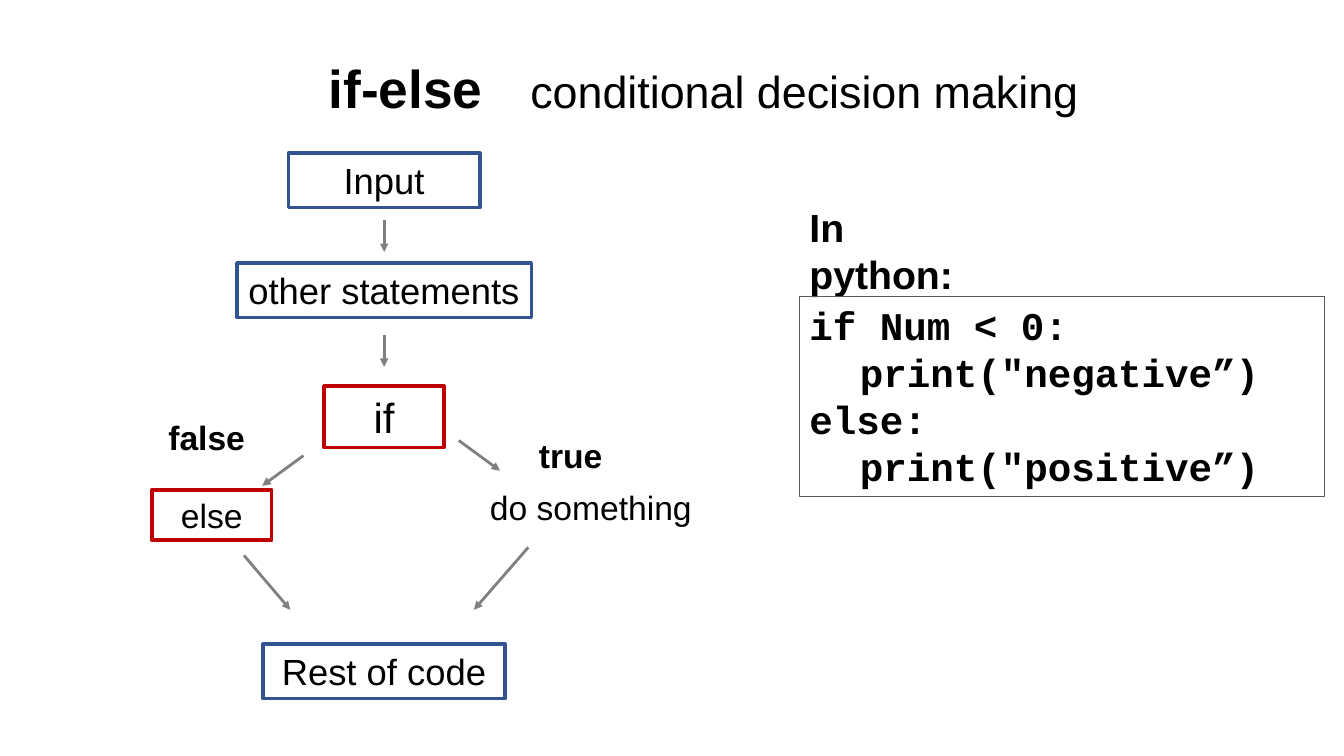
from pptx import Presentation
from pptx import util as u
from pptx.dml.color import RGBColor
from pptx.enum import shapes, text
from pptx.oxml import parse_xml
from pptx.oxml.ns import nsdecls, qn

BLACK = RGBColor(0x00, 0x00, 0x00)
BLUE = RGBColor(0x32, 0x54, 0x91)
RED = RGBColor(0xC0, 0x00, 0x00)
GREY = RGBColor(0x80, 0x80, 0x80)
DARK_GREY = RGBColor(0x59, 0x59, 0x59)

WIDTH, HEIGHT = u.Inches(13.33), u.Inches(7.5)
UNIT = HEIGHT / 75  # side of one square grid cell


def cells(*counts):
    return [round(count * UNIT) for count in counts]


def style_run(run, size, bold=False, font="Arial"):
    run.font.name = font
    run.font.size = u.Pt(size)
    run.font.bold = bold
    run.font.color.rgb = BLACK


def write(frame, lines, size, bold=False, font="Arial",
          align=text.PP_ALIGN.CENTER, wrap=True):
    frame.word_wrap = wrap
    frame.vertical_anchor = text.MSO_ANCHOR.TOP
    frame.text = lines
    for line in frame.paragraphs:
        line.alignment = align
        for run in line.runs:
            style_run(run, size, bold, font)


def add_outlined_box(slide, box, color, weight):
    outlined = slide.shapes.add_shape(shapes.MSO_SHAPE.RECTANGLE, *cells(*box))
    outlined.shadow.inherit = False
    outlined.fill.background()
    outlined.line.color.rgb = color
    outlined.line.width = u.Pt(weight)
    return outlined


def add_arrow(slide, start, end):
    arrow = slide.shapes.add_connector(
        shapes.MSO_CONNECTOR.STRAIGHT, *cells(*start, *end))
    arrow.line.color.rgb = GREY
    arrow.line.width = u.Pt(2)
    arrow.line._get_or_add_ln().append(
        parse_xml(f'<a:tailEnd {nsdecls("a")} type="triangle"/>'))
    arrow._element.spPr.append(
        arrow._element.makeelement(qn("a:effectLst"), {}))


def add_heading(slide, box):
    title = slide.shapes.title
    title.left, title.top, title.width, title.height = cells(*box)
    frame = title.text_frame
    frame.word_wrap = True
    frame.auto_size = text.MSO_AUTO_SIZE.NONE
    frame.vertical_anchor = text.MSO_ANCHOR.TOP
    heading = frame.paragraphs[0]
    heading.alignment = text.PP_ALIGN.LEFT
    for words, size, bold in (("if-else", 38, True), ("\t", 32, True),
                              ("conditional decision making", 32, False)):
        run = heading.add_run()
        run.text = words
        style_run(run, size, bold)


def add_flowchart(slide, box):
    """Place steps by their centre's offset from the box's vertical axis."""
    left, top, width, _ = box
    axis = left + width / 2

    steps = (  # words, offset, row, width, height, size, colour, wrap
        ("Input", 0, 0, 19, 5.4, 26, BLUE, True),
        ("other statements", 0, 10.9, 29.2, 5.4, 26, BLUE, False),
        ("if", 0, 23.1, 11.9, 6.1, 30, RED, True),
        ("else", -17.1, 33.4, 11.9, 5, 24, RED, True),
        ("Rest of code", 0, 48.7, 24, 5.4, 26, BLUE, True),
    )
    for words, offset, row, wide, high, size, color, wrap in steps:
        step = add_outlined_box(
            slide, (axis + offset - wide / 2, top + row, wide, high), color, 2.5)
        write(step.text_frame, words, size, wrap=wrap)

    labels = (  # words, offset, row, width, bold
        ("false", -17.6, 25.7, 19, True),
        ("true", 18.5, 27.5, 19, True),
        ("do something", 20.5, 32.6, 23.2, False),
    )
    for words, offset, row, wide, bold in labels:
        label = slide.shapes.add_textbox(
            *cells(axis + offset - wide / 2, top + row, wide, 5))
        write(label.text_frame, words, 24, bold)

    arrows = (  # offset and row of start, then of end
        (0, 6.6, 0, 9.8),
        (0, 18, 0, 21.2),
        (7.4, 28.5, 11.5, 31.5),
        (-8, 30, -12.1, 33),
        (14.3, 39.1, 8.9, 45.3),
        (-13.9, 39.9, -9.3, 45.3),
    )
    for x1, y1, x2, y2 in arrows:
        add_arrow(slide, (axis + x1, top + y1), (axis + x2, top + y2))


def add_python_example(slide, box):
    left, top, width, height = box
    caption_height = 9.7
    caption = slide.shapes.add_textbox(*cells(left, top, 19.5, caption_height))
    write(caption.text_frame, "In python:", 28, True, align=text.PP_ALIGN.LEFT)
    code = add_outlined_box(
        slide, (left, top + caption_height, width, height - caption_height),
        DARK_GREY, 0.75)
    write(code.text_frame,
          'if Num < 0:\n\tprint("negative”)\nelse:\n\tprint("positive”)',
          28, True, "Courier New", text.PP_ALIGN.LEFT, wrap=False)


def main():
    deck = Presentation()
    deck.slide_width, deck.slide_height = WIDTH, HEIGHT
    slide = deck.slides.add_slide(deck.slide_layouts.get_by_name("Title Only"))
    add_heading(slide, (31.6, 5, 86.3, 7.4))
    add_python_example(slide, (79.3, 19.7, 52.1, 29.6))
    add_flowchart(slide, (11.1, 15.2, 54, 54.1))
    deck.save("out.pptx")


if __name__ == "__main__":
    main()
